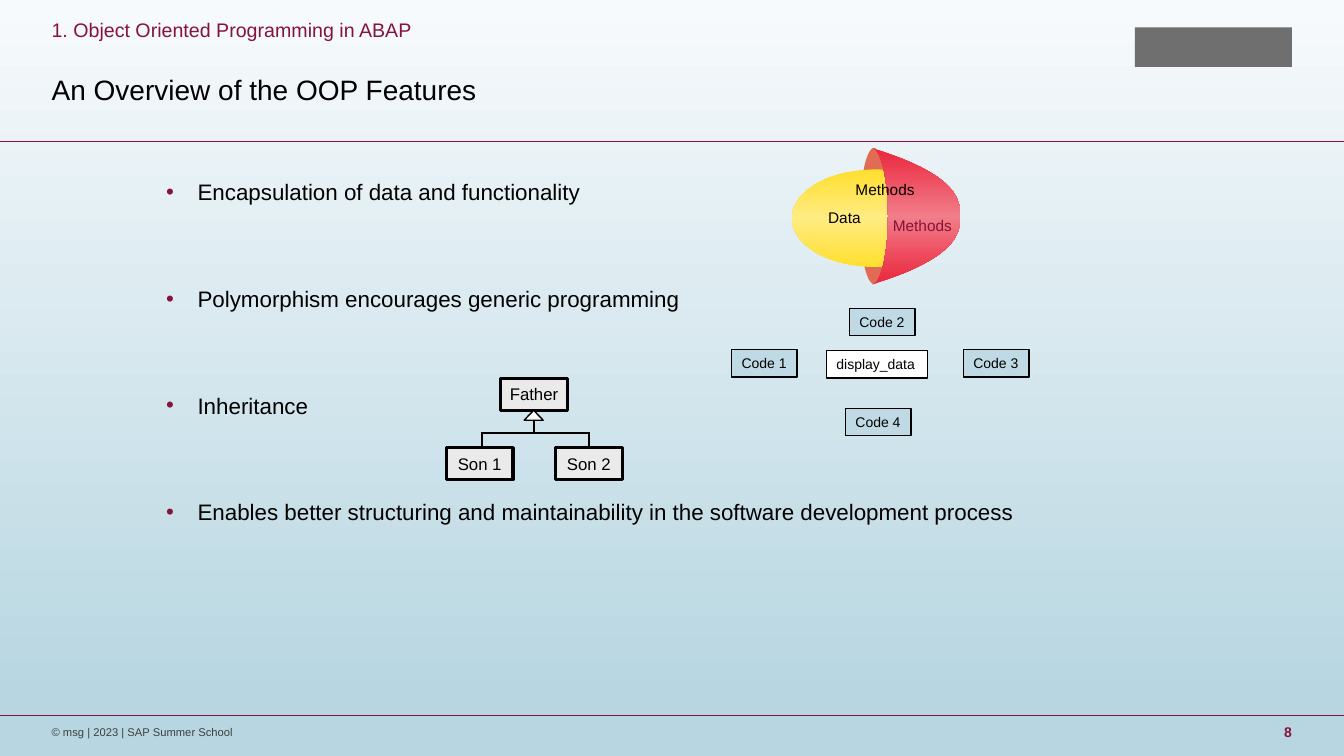
import copy
import dataclasses
import pptx
import pptx.dml.color
import pptx.enum.shapes
import pptx.enum.text
import pptx.oxml.ns
import pptx.util
from lxml import etree

Cm = pptx.util.Cm
Pt = pptx.util.Pt
Kind = pptx.enum.shapes.MSO_SHAPE
Align = pptx.enum.text.PP_ALIGN
Anchor = pptx.enum.text.MSO_ANCHOR
Fit = pptx.enum.text.MSO_AUTO_SIZE
qn = pptx.oxml.ns.qn


@dataclasses.dataclass(frozen=True)
class Theme:
    font: str = "Arial"
    wine: str = "841439"
    black: str = "000000"
    white: str = "FFFFFF"
    foot: str = "3F3F3F"
    logo: str = "6F6F6F"
    code: str = "BFDAE4"
    kin: str = "EAEAEA"
    rim: str = "E16B55"
    sky: tuple = ("F7FAFC", "B7D6E1")
    yolk: tuple = ("FFDF2E", "FFEC82")
    shell: tuple = ("EA263C", "F27D8A")
    title: int = 20
    body: int = 16
    head: int = 14
    box: int = 12
    label: int = 11
    small: int = 10
    tiny: int = 8


THEME = Theme()
FLAT = {"margin_left": 0, "margin_right": 0, "margin_top": 0, "margin_bottom": 0,
        "word_wrap": True, "auto_size": Fit.NONE}
MID = FLAT | {"vertical_anchor": Anchor.MIDDLE}
LOOSE = {"word_wrap": False, "vertical_anchor": Anchor.TOP}
TIGHT = {"word_wrap": False, "vertical_anchor": Anchor.MIDDLE}


def rgb(code):
    return pptx.dml.color.RGBColor.from_string(code)


def apply(target, values):
    for name, value in values.items():
        setattr(target, name, value)


def place(shape, spot):
    apply(shape, dict(zip(("left", "top", "width", "height"), map(Cm, spot))))


def write(frame, text, size, color, look, para=None, bold=False):
    """Fill a text frame, one paragraph per line of text."""
    apply(frame, look)
    frame.text = text
    for item in frame.paragraphs:
        apply(item, para or {})
        for run in item.runs:
            apply(run.font, {"name": THEME.font, "size": Pt(size), "bold": bold})
            run.font.color.rgb = rgb(color)


def note(slide, spot, text, size, color, look, **more):
    box = slide.shapes.add_textbox(*map(Cm, spot))
    write(box.text_frame, text, size, color, look, **more)
    return box


def paint(shape, fill, edge=None):
    """Set a plain fill, or a vertical blend that ends as it starts."""
    shape.shadow.inherit = False
    if isinstance(fill, str):
        shape.fill.solid()
        shape.fill.fore_color.rgb = rgb(fill)
    else:
        shape.fill.gradient()
        shape.fill.gradient_angle = 270
        stops = shape.element.spPr.find(".//" + qn("a:gsLst"))
        stops.insert(1, copy.deepcopy(stops[0]))
        outer, inner = fill
        colors = (outer, inner, outer)
        for i, (stop, color) in enumerate(zip(shape.fill.gradient_stops, colors)):
            stop.position = i / 2
            stop.color.rgb = rgb(color)
    if edge:
        shape.line.color.rgb = rgb(THEME.black)
        shape.line.width = Pt(edge)
    else:
        shape.line.fill.background()


def draw(slide, kind, spot, fill, edge=None):
    shape = slide.shapes.add_shape(kind, *map(Cm, spot))
    paint(shape, fill, edge)
    return shape


def box(slide, spot, text, size, fill, edge, look, align):
    shape = draw(slide, Kind.RECTANGLE, spot, fill, edge)
    write(shape.text_frame, text, size, THEME.black, look, {"alignment": align})


def rule(slide, x1, y1, x2, y2, color, width):
    line = slide.shapes.add_connector(
        pptx.enum.shapes.MSO_CONNECTOR.STRAIGHT, Cm(x1), Cm(y1), Cm(x2), Cm(y2))
    line.line.color.rgb = rgb(color)
    line.line.width = Pt(width)
    etree.SubElement(line.element.spPr, qn("a:effectLst"))


def dot(para):
    """Give a paragraph a coloured bullet with a hanging indent."""
    props = para._p.get_or_add_pPr()
    props.set("marL", str(Cm(0.79)))
    props.set("indent", str(-Cm(0.79)))
    tint = etree.SubElement(props, qn("a:buClr"))
    etree.SubElement(tint, qn("a:srgbClr"), val=THEME.wine)
    etree.SubElement(props, qn("a:buFont"), typeface=THEME.font)
    etree.SubElement(props, qn("a:buChar"), char="•")


def frame(slide):
    """Draw background, rules, headings and footer."""
    back = slide.background.fill
    back.gradient()
    back.gradient_angle = 270
    for stop, color, spot in zip(back.gradient_stops, THEME.sky, (0, 0.93)):
        stop.color.rgb = rgb(color)
        stop.position = spot
    for y in (18.03, 3.56):
        rule(slide, 0, y, 33.87, y, THEME.wine, 0.75)
    draw(slide, Kind.RECTANGLE, (28.6, 0.69, 3.96, 1), THEME.logo)
    note(slide, (1.3, 0.38, 25.48, 0.76), "1. Object Oriented Programming in ABAP",
         THEME.head, THEME.wine, MID)
    title = slide.shapes.title
    place(title, (1.3, 1.14, 25.48, 2.34))
    write(title.text_frame, "An Overview of the OOP Features", THEME.title,
          THEME.black, MID, {"alignment": Align.LEFT, "line_spacing": 0.9})
    note(slide, (30.96, 18.26, 1.6, 0.38), "8", THEME.small, THEME.wine, MID,
         para={"alignment": Align.RIGHT}, bold=True)
    note(slide, (1.3, 18.26, 25.48, 0.38), "© msg | 2023 | SAP Summer School",
         THEME.tiny, THEME.foot, MID)


def points(slide):
    lines = ("Encapsulation of data and functionality",
             "Polymorphism encourages generic programming",
             "Inheritance",
             "Enables better structuring and maintainability "
             "in the software development process")
    area = note(slide, (4.19, 4.5, 25.43, 11.99), "\n".join(lines),
                THEME.body, THEME.black, FLAT)
    for i, para in enumerate(area.text_frame.paragraphs):
        dot(para)
        para.space_before = Pt(57 if i else 0)


def egg(slide):
    """Draw the data core inside its shell of methods."""
    draw(slide, Kind.OVAL, (21.67, 3.73, 0.71, 3.43), THEME.rim)
    draw(slide, Kind.OVAL, (19.96, 4.27, 4.22, 2.46), THEME.yolk)
    left, mid, half, steps = 21.97, 5.45, 1.72, 32
    rows = [i / steps for i in range(-steps, steps + 1)]
    inner = [(left + 0.41 * (1 - u * u) ** 0.5, mid + half * u) for u in rows]
    outer = [(left + 2.23 * (1 - abs(u) ** 2.45), mid + half * u) for u in rows]
    first, *rest = [(Cm(x), Cm(y)) for x, y in inner + outer[::-1]]
    path = slide.shapes.build_freeform(*first)
    path.add_line_segments(rest, close=True)
    paint(path.convert_to_shape(), THEME.shell)
    for x, y, wide, text, color in ((20.62, 5.13, 1.35, "Data", THEME.black),
                                    (21.31, 4.42, 2.01, "Methods", THEME.black),
                                    (22.25, 5.33, 2.01, "Methods", THEME.wine)):
        note(slide, (x, y, wide, 0.74), text, THEME.label, color, LOOSE)


def codes(slide):
    spots = ((18.44, 8.81), (21.41, 7.77), (24.28, 8.81), (21.31, 10.29))
    for i, (x, y) in enumerate(spots, 1):
        box(slide, (x, y, 1.65, 0.69), f"Code {i}", THEME.small,
            THEME.code, 1, LOOSE, Align.LEFT)
    box(slide, (20.83, 8.84, 2.54, 0.69), "display_data", THEME.small,
        THEME.white, 1, LOOSE, Align.LEFT)


def family(slide):
    for ends in ((12.14, 10.9, 14.86, 10.9), (12.14, 10.88, 12.14, 11.35),
                 (14.84, 10.9, 14.84, 11.38), (13.46, 10.92, 13.46, 10.59)):
        rule(slide, *ends, THEME.black, 1.5)
    for x, y, text in ((12.62, 9.53, "Father"), (11.25, 11.28, "Son 1"),
                       (14, 11.28, "Son 2")):
        box(slide, (x, y, 1.68, 0.81), text, THEME.box, THEME.kin, 2.25,
            TIGHT, Align.CENTER)
    draw(slide, Kind.ISOSCELES_TRIANGLE, (13.21, 10.34, 0.48, 0.25), THEME.white, 1)


def main():
    deck = pptx.Presentation()
    apply(deck, {"slide_width": Cm(33.87), "slide_height": Cm(19.05)})
    slide = deck.slides.add_slide(deck.slide_layouts.get_by_name("Title Only"))
    for part in (frame, points, egg, codes, family):
        part(slide)
    deck.save("out.pptx")


if __name__ == "__main__":
    main()
